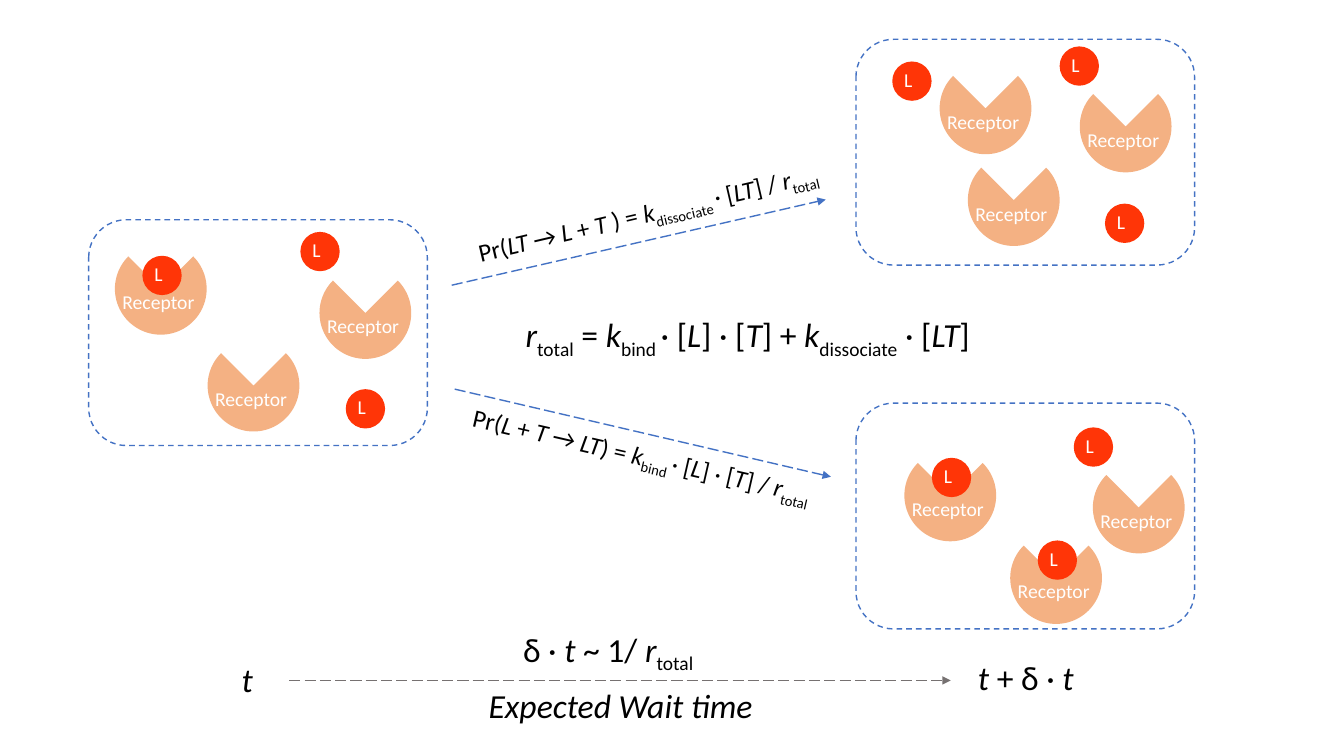
from dataclasses import dataclass

from lxml.etree import SubElement
from pptx import Presentation
from pptx.dml.color import RGBColor as RGB
from pptx.enum.dml import MSO_LINE as DASH
from pptx.enum.shapes import MSO_CONNECTOR as CONN, MSO_SHAPE as SHAPE
from pptx.enum.text import PP_ALIGN as ALIGN
from pptx.oxml.ns import qn
from pptx.util import Inches, Pt


@dataclass(frozen=True)
class Theme:
    """Colours, font and type sizes of the slide."""
    font: str = "Calibri"
    ink: str = "000000"
    label: str = "FFFFFF"
    blue: str = "4472C4"
    grey: str = "767171"
    receptor: str = "F4B183"
    ligand: str = "FF3507"
    small: int = 14
    medium: int = 18
    large: int = 24


@dataclass(frozen=True)
class Box:
    """A rectangle in slide units."""
    x: float
    y: float
    w: float
    h: float

    def share(self, x, y, w=0, h=0):
        """Return the box at the given percentages of this one."""
        return Box(self.x + self.w * x / 100, self.y + self.h * y / 100,
                   self.w * w / 100, self.h * h / 100)

    def emu(self):
        """Return left, top, width and height as whole numbers."""
        return [round(v) for v in (self.x, self.y, self.w, self.h)]


THEME = Theme()
SLIDE = Box(0, 0, Inches(13.33), Inches(7.5))
PANEL_SIZE = (25.2, 29.87)
RECEPTOR_SIZE = (27.08, 40.63)
LIGAND_SIZE = (11.61, 17.41)


def add_text(s, box, text, size, color=THEME.ink, align=ALIGN.LEFT, rotation=0):
    """Write text in which * marks italics and _ marks subscripts."""
    sp = s.shapes.add_textbox(*box.emu())
    sp.rotation = rotation
    tf = sp.text_frame
    tf.word_wrap = True
    p = tf.paragraphs[0]
    p.alignment = align
    style = {"name": THEME.font, "size": Pt(size)}
    for i, span in enumerate(text.split("*")):
        for j, piece in enumerate(span.split("_")):
            if not piece:
                continue
            r = p.add_run()
            r.text = piece
            for key, value in {**style, "italic": i % 2 == 1}.items():
                setattr(r.font, key, value)
            r.font.color.rgb = RGB.from_string(color)
            if j % 2:
                r._r.get_or_add_rPr().set("baseline", "-25000")


def add_solid(s, kind, box, color, rotation=0):
    """Draw a filled shape without an outline."""
    sp = s.shapes.add_shape(kind, *box.emu())
    sp.shadow.inherit = False
    sp.rotation = rotation
    sp.fill.solid()
    sp.fill.fore_color.rgb = RGB.from_string(color)
    sp.line.fill.background()


def add_ligand(s, box):
    """Draw a ligand disc with its letter."""
    add_solid(s, SHAPE.OVAL, box, THEME.ligand)
    add_text(s, box.share(5, 3, 113, 87), "L", THEME.small, THEME.label)


def add_receptor(s, box, depth=None):
    """Draw a receptor, with a bound ligand at the given depth."""
    add_solid(s, SHAPE.PIE, box, THEME.receptor, 315)
    add_text(s, box.share(-2.6, 46, 105.5, 37.4), "Receptor", THEME.small, THEME.label)
    if depth is not None:
        add_ligand(s, box.share(30, depth, 42.86, 42.86))


def add_state(s, box, receptors, ligands):
    """Draw a dashed panel with its molecules."""
    sp = s.shapes.add_shape(SHAPE.ROUNDED_RECTANGLE, *box.emu())
    sp.shadow.inherit = False
    sp.fill.background()
    sp.line.color.rgb = RGB.from_string(THEME.blue)
    sp.line.width = Pt(1)
    sp.line.dash_style = DASH.DASH
    for x, y, *depth in receptors:
        add_receptor(s, box.share(x, y, *RECEPTOR_SIZE), *depth)
    for x, y in ligands:
        add_ligand(s, box.share(x, y, *LIGAND_SIZE))


def add_arrow(s, start, end, color):
    """Draw a long-dashed arrow between two points."""
    ends = start.emu()[:2] + end.emu()[:2]
    cn = s.shapes.add_connector(CONN.STRAIGHT, *ends)
    cn.line.color.rgb = RGB.from_string(color)
    cn.line.width = Pt(1)
    cn.line.dash_style = DASH.LONG_DASH
    SubElement(cn.line._get_or_add_ln(), qn("a:tailEnd"), type="triangle")
    SubElement(cn._element.spPr, qn("a:effectLst"))


def add_states(s, box):
    """Draw the starting state and its two outcomes."""
    states = [
        ((6.6, 29.07),
         [(7.74, 10.27, 14), (35.12, 53.13), (68.15, 20.98)],
         [(62.5, 5.36), (75.89, 75)]),
        ((63.69, 5.2),
         [(33.04, 50.89), (66.07, 18.3), (24.7, 10.27)],
         [(60.12, 3.13), (73.51, 72.77), (10.71, 9.82)]),
        ((63.69, 53.33),
         [(14.29, 20.54, 9), (45.54, 57.14, 9), (69.94, 25.89)],
         [(64.29, 10.71)]),
    ]
    for corner, receptors, ligands in states:
        add_state(s, box.share(*corner, *PANEL_SIZE), receptors, ligands)


def add_transitions(s, box):
    """Draw the reaction arrows, their probabilities and the total rate."""
    add_arrow(s, box.share(33.61, 37.73), box.share(61.44, 26.4), THEME.blue)
    add_arrow(s, box.share(33.83, 51.47), box.share(61.82, 63.07), THEME.blue)
    formulas = [
        ((34.81, 40.93, 41.64, 6.67), THEME.large, 0,
         "*r*_total_ = *k*_bind _· [*L*] · [*T*] + *k*_dissociate_ · [*LT*]"),
        ((29.86, 57.6, 35.78, 5.33), THEME.medium, 13,
         "Pr(*L *+ *T *→* LT*) = *k*_bind _· [*L*] · [*T*] / *r*_total_"),
        ((30.31, 25.47, 35.78, 5.33), THEME.medium, 346.7,
         "Pr(*LT *→* L *+ *T *) = *k*_dissociate _· [*LT*] / *r*_total_"),
    ]
    for place, size, rotation, text in formulas:
        add_text(s, box.share(*place), text, size, align=ALIGN.CENTER, rotation=rotation)


def add_timeline(s, box):
    """Draw the time arrow and its labels."""
    add_arrow(s, box.share(21.53, 90), box.share(70.74, 90), THEME.grey)
    labels = [
        (17.25, 86.53, 3.23, "*t*", ALIGN.LEFT),
        (72.02, 86.27, 9.75, "*t* + δ · *t*", ALIGN.LEFT),
        (29.63, 90, 33.08, "*Expected Wait time*", ALIGN.CENTER),
        (38.18, 82.53, 15.83, "δ · *t *~ 1/ *r*_total_", ALIGN.LEFT),
    ]
    for x, y, w, text, align in labels:
        add_text(s, box.share(x, y, w, 6.67), text, THEME.large, align=align)


def main():
    """Build and save the slide."""
    prs = Presentation()
    prs.slide_width, prs.slide_height = SLIDE.w, SLIDE.h
    s = prs.slides.add_slide(prs.slide_layouts[6])
    for draw in (add_states, add_transitions, add_timeline):
        draw(s, SLIDE)
    prs.save("out.pptx")


if __name__ == "__main__":
    main()
